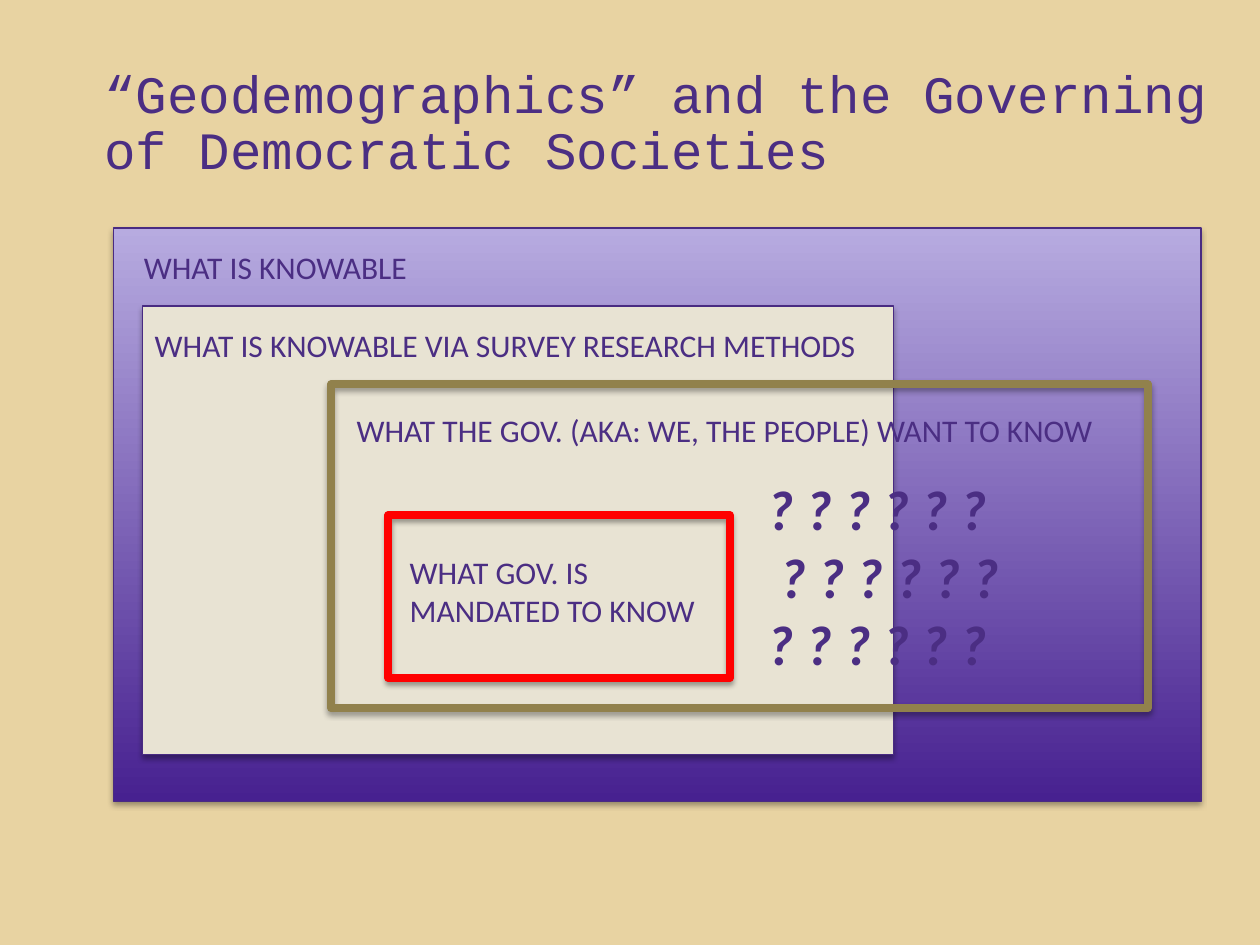
from lxml import etree
from pptx import Presentation
from pptx import util as u
from pptx.dml.color import RGBColor
from pptx.enum import shapes, text
from pptx.oxml.ns import qn

SAND = RGBColor(0xE8, 0xD3, 0xA2)
PURPLE = RGBColor(0x4B, 0x2E, 0x83)
OUTLINE = RGBColor(0x49, 0x2B, 0x82)
DEEP_PURPLE = RGBColor(0x47, 0x21, 0x90)
LAVENDER = RGBColor(0xB7, 0xAB, 0xE0)
CREAM = RGBColor(0xE8, 0xE3, 0xD3)
OLIVE = RGBColor(0x91, 0x81, 0x4C)
RED = RGBColor(0xFF, 0x00, 0x00)


def add_run(paragraph, words, size, font="Calibri", emphasis=False):
    run = paragraph.add_run()
    run.text = words
    run.font.name = font
    run.font.size = u.Pt(size)
    run.font.color.rgb = PURPLE
    run.font.bold = run.font.italic = emphasis


def add_soft_shadow(shape):
    shape.shadow.inherit = False
    effects = shape._element.spPr.find(qn("a:effectLst"))
    shadow = etree.SubElement(
        effects, qn("a:outerShdw"), blurRad=str(u.Pt(3.1)), dist=str(u.Pt(1.8)),
        dir="5400000", rotWithShape="0")
    color = etree.SubElement(shadow, qn("a:srgbClr"), val="000000")
    etree.SubElement(color, qn("a:alpha"), val="35000")


def add_frame(slide, box, line_color, line_width, fill_color=None):
    shape = slide.shapes.add_shape(
        shapes.MSO_SHAPE.RECTANGLE, *(u.Cm(length) for length in box))
    add_soft_shadow(shape)
    if fill_color is None:
        shape.fill.background()
    else:
        shape.fill.solid()
        shape.fill.fore_color.rgb = fill_color
    shape.line.color.rgb = line_color
    shape.line.width = u.Pt(line_width)
    return shape


def add_label(slide, box, lines, size=18, wrap=False, emphasis=False):
    shape = slide.shapes.add_textbox(*(u.Cm(length) for length in box))
    frame = shape.text_frame
    frame.word_wrap = wrap
    frame.auto_size = text.MSO_AUTO_SIZE.SHAPE_TO_FIT_TEXT
    for index, line in enumerate(lines):
        paragraph = frame.paragraphs[0] if index == 0 else frame.add_paragraph()
        add_run(paragraph, line, size, emphasis=emphasis)
    return shape


def place_title(slide, left, top, width, height):
    title = slide.shapes.title
    title.left, title.top = u.Cm(left), u.Cm(top)
    title.width, title.height = u.Cm(width), u.Cm(height)
    frame = title.text_frame
    frame.word_wrap = True
    frame.auto_size = text.MSO_AUTO_SIZE.NONE
    frame.vertical_anchor = text.MSO_ANCHOR.BOTTOM
    paragraph = frame.paragraphs[0]
    paragraph.alignment = text.PP_ALIGN.LEFT
    paragraph.line_spacing = 0.9
    add_run(paragraph, "“Geodemographics” and the Governing of Democratic Societies",
            30, "Courier New")


def place_knowledge_diagram(slide, left, top, width, height):
    def inside(x, y, box_width, box_height):
        return left + x, top + y, box_width, box_height

    knowable = add_frame(slide, (left, top, width, height), OUTLINE, 0.75, LAVENDER)
    knowable.fill.gradient()
    knowable.fill.gradient_angle = 90
    for stop, color in zip(knowable.fill.gradient_stops, (DEEP_PURPLE, LAVENDER)):
        stop.color.rgb = color
    add_label(slide, inside(0.36, 0.28, 5.87, 1.02), ["WHAT IS KNOWABLE"])

    add_frame(slide, inside(0.58, 1.57, 15.14, 9.04), OUTLINE, 0.75, CREAM)
    add_label(slide, inside(0.58, 1.85, 14.78, 1.02),
              ["WHAT IS KNOWABLE VIA SURVEY RESEARCH METHODS"])

    add_frame(slide, inside(4.39, 3.15, 16.46, 6.53), OLIVE, 4.5)
    add_label(slide, inside(4.65, 3.56, 15.49, 1.02),
              ["WHAT THE GOV. (AKA: WE, THE PEOPLE) WANT TO KNOW"])

    add_frame(slide, inside(5.54, 5.79, 6.88, 3.28), RED, 4.5)
    add_label(slide, inside(5.72, 6.43, 6.5, 1.8),
              ["WHAT GOV. IS MANDATED TO KNOW"], wrap=True)

    questions = add_label(slide, inside(12.93, 4.85, 5.33, 4.37),
                          ["? ? ? ? ? ?"] * 3, 32, wrap=True, emphasis=True)
    middle_row = questions.text_frame.paragraphs[1]
    middle_row._p.get_or_add_pPr().set("marL", str(u.Cm(0.25)))


def main():
    presentation = Presentation()
    presentation.slide_width, presentation.slide_height = u.Cm(25.4), u.Cm(19.05)
    slide = presentation.slides.add_slide(presentation.slide_layouts[5])
    slide.background.fill.solid()
    slide.background.fill.fore_color.rgb = SAND
    place_title(slide, 1.85, 1.04, 22.75, 2.74)
    place_knowledge_diagram(slide, 2.29, 4.6, 21.92, 11.56)
    presentation.save("out.pptx")


if __name__ == "__main__":
    main()
